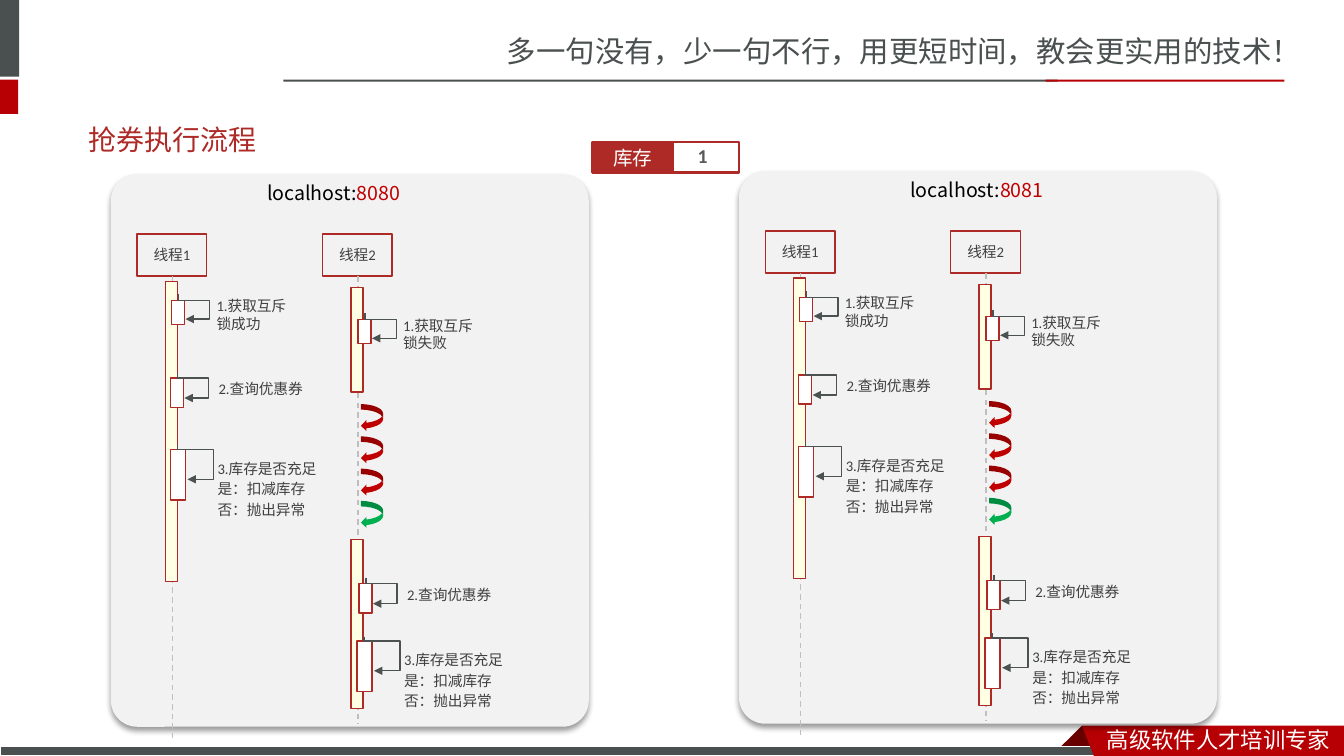
import pptx
import pptx.util
import pptx.dml.color
import pptx.enum.dml
import pptx.enum.shapes
import pptx.enum.text
import pptx.oxml
import pptx.oxml.ns
import lxml.etree

Inches = pptx.util.Inches
Pt = pptx.util.Pt
RGB = pptx.dml.color.RGBColor
KIND = pptx.enum.shapes.MSO_SHAPE
LINK = pptx.enum.shapes.MSO_CONNECTOR
ALIGN = pptx.enum.text.PP_ALIGN
MIDDLE = pptx.enum.text.MSO_ANCHOR.MIDDLE
qn = pptx.oxml.ns.qn

SLATE, RED, DARK = RGB(0x49, 0x50, 0x4F), RGB(0xB6, 0x00, 0x04), RGB(0x68, 0x00, 0x00)
BRICK, CRIMSON, GREEN = RGB(0xAD, 0x2A, 0x26), RGB(0xC0, 0x00, 0x00), RGB(0x00, 0xB0, 0x50)
WHITE, BLACK, CREAM = RGB(0xFF, 0xFF, 0xFF), RGB(0, 0, 0), RGB(0xFF, 0xFF, 0xE4)
PALE, SILVER = RGB(0xF2, 0xF2, 0xF2), RGB(0xBF, 0xBF, 0xBF)
INK, GREY, STEEL = RGB(0x40, 0x40, 0x40), RGB(0x59, 0x59, 0x59), RGB(0x4C, 0x52, 0x52)
NOTO = "Noto Sans CJK SC"

LOCK = dict(size=(0.13, 0.24), link=(0.25, 0.07), bend=(0.257, 4.425),
            note=(0.35, -0.08, 0.98, 0.45), align=ALIGN.LEFT)
QUERY = dict(size=(0.13, 0.29), link=(0.25, 0.07), bend=(0.206, 4.425),
             note=(0.35, -0.03, 1.09, 0.28), align=ALIGN.CENTER)
STOCK = dict(size=(0.15, 0.5), link=(0.34, 0.1), bend=(0.133, 3.569),
             note=(0.37, 0.05, 1.21, 0.91), align=ALIGN.LEFT)
FIND = "2.查询优惠券"
CHECK = "3.库存是否充足\n是：扣减库存\n否：抛出异常"


def style(run, size, color, font, bold=False):
    """Set the look of one run."""
    run.font.size = Pt(size)
    run.font.bold = bold
    run.font.color.rgb = color
    run.font.name = font
    lxml.etree.SubElement(run.font._element, qn("a:ea")).set("typeface", NOTO)


def write(shape, text, size, color, font="Calibri", align=ALIGN.LEFT, bold=False):
    """Fill a shape with styled text."""
    frame = shape.text_frame
    frame.word_wrap = True
    frame.text = text
    for i, para in enumerate(frame.paragraphs):
        para.alignment = align
        if i:
            para.space_before = Pt(2.1)
        for run in para.runs:
            style(run, size, color, font, bold)


def label(slide, box, text, size, color, **look):
    """Place a text box."""
    shape = slide.shapes.add_textbox(*map(Inches, box))
    write(shape, text, size, color, **look)
    return shape


def block(slide, box, fill=None, line=None, width=1, kind=KIND.RECTANGLE):
    """Place a flat preset shape."""
    shape = slide.shapes.add_shape(kind, *map(Inches, box))
    shape.shadow.inherit = False
    paint(shape, fill, line, width)
    return shape


def paint(shape, fill, line=None, width=1):
    """Set fill and outline."""
    if fill is None:
        shape.fill.background()
    else:
        shape.fill.solid()
        shape.fill.fore_color.rgb = fill
    if line is None:
        shape.line.fill.background()
    else:
        shape.line.color.rgb = line
        shape.line.width = Pt(width)


def wire(slide, kind, ends, color):
    """Place a plain connector."""
    line = slide.shapes.add_connector(kind, *map(Inches, ends))
    line.line.color.rgb = color
    line.line.width = Pt(1)
    lxml.etree.SubElement(line._element.spPr, qn("a:effectLst"))
    return line


def loop(slide, x, y, span, depth, bend):
    """Draw a self-call arrow that starts at x, y and ends below it."""
    left, top = x + (depth - span) / 2, y + (span - depth) / 2
    arrow = wire(slide, LINK.ELBOW, (left, top, left + span, top + depth), STEEL)
    props = arrow._element.spPr
    frame = props.find(qn("a:xfrm"))
    frame.set("rot", "16200000")
    frame.set("flipH", "1")
    geom = props.find(qn("a:prstGeom"))
    geom.set("prst", "bentConnector4")
    guides = geom.find(qn("a:avLst"))
    for i, part in enumerate(bend, 1):
        guide = lxml.etree.SubElement(guides, qn("a:gd"))
        guide.set("name", f"adj{i}")
        guide.set("fmla", f"val {round(part * 100000)}")
    tail = lxml.etree.SubElement(props.find(qn("a:ln")), qn("a:tailEnd"))
    tail.set("type", "triangle")


def call(slide, x, y, text, size, link, bend, note, align):
    """Draw one step: its box, self-call arrow and note."""
    block(slide, (x, y, *size), WHITE, BRICK)
    loop(slide, x + 0.07, y - link[0] * bend[0], *link, bend)
    label(slide, (x + note[0], y + note[1], *note[2:]), text, 10.5, INK, align=align)


def lane(slide, x, y, name, end, bars, calls):
    """Draw a thread with its lifeline, active bars and steps."""
    head = block(slide, (x, y, 0.69, 0.42), None, BRICK)
    head.text_frame.vertical_anchor = MIDDLE
    write(head, name, 10.5, INK, align=ALIGN.CENTER)
    life = wire(slide, LINK.STRAIGHT, (x + 0.35, y + 0.42, x + 0.35, y + end), SILVER)
    life.line.dash_style = pptx.enum.dml.MSO_LINE.DASH
    for top, high in bars:
        block(slide, (x + 0.28, y + top, 0.12, high), CREAM, BRICK)
    for shift, top, text, kind in calls:
        call(slide, x + shift, y + top, text, **kind)


def host(slide, x, y, port, shift):
    """Draw one server panel with two threads."""
    panel = block(slide, (x, y, 4.74, 5.48), PALE, kind=KIND.ROUNDED_RECTANGLE)
    panel.adjustments[0] = 0.055
    shade = pptx.oxml.parse_xml(
        f'<a:outerShdw {pptx.oxml.ns.nsdecls("a")} blurRad="50800" dist="38100" dir="5400000">'
        '<a:srgbClr val="000000"><a:alpha val="40000"/></a:srgbClr></a:outerShdw>')
    panel._element.spPr.find(qn("a:effectLst")).append(shade)
    lane(slide, x + 0.26, y + 0.59, "线程1", 5, [(0.47, 2.98)],
         [(0.34, 0.66, "1.获取互斥锁成功", LOCK), (0.33, 1.43, FIND, QUERY),
          (0.33, 2.14, CHECK, STOCK)])
    lane(slide, x + 2.1, y + 0.59, "线程2", 4.86, [(0.53, 1.04), (3.03, 1.68)],
         [(0.35, 0.85, "1.获取互斥锁失败", LOCK), (0.36, 3.47, FIND, QUERY),
          (0.34, 4.04, CHECK, STOCK)])
    for i, color in enumerate([CRIMSON] * 3 + [GREEN]):
        block(slide, (x + 2.48, y + 2.28 + 0.32 * i, 0.22, 0.27), color,
              kind=KIND.CURVED_LEFT_ARROW)
    name = label(slide, (x + shift, y + 0.02, 1.72, 0.34), "localhost:", 14, BLACK, font=NOTO)
    run = name.text_frame.paragraphs[0].add_run()
    run.text = port
    style(run, 14, CRIMSON, NOTO)


def store(slide, x, y):
    """Draw the stock counter."""
    block(slide, (x + 0.66, y, 0.79, 0.3), WHITE, BRICK, 2)
    tag = block(slide, (x, y, 0.79, 0.3), BRICK, BRICK, 2)
    tag.text_frame.vertical_anchor = MIDDLE
    write(tag, "库存", 14, WHITE, align=ALIGN.CENTER)
    label(slide, (x + 0.94, y - 0.03, 0.45, 0.34), "1", 14, GREY, bold=True)


def header(slide):
    """Draw the top band and slogan."""
    label(slide, (4.93, 0.28, 8.4, 0.47), "多一句没有，少一句不行，用更短时间，教会更实用的技术！",
          21, SLATE, font=NOTO)
    block(slide, (0, 0, 0.19, 0.76), SLATE)
    block(slide, (0, 0.79, 0.18, 0.34), RED)
    block(slide, (2.81, 0.79, 7.68, 0.02), SLATE)
    block(slide, (10.37, 0.79, 2.37, 0.02), RED)


def ribbon(slide, points, fill):
    """Draw a closed outline."""
    first, *rest = [(Inches(x), Inches(y)) for x, y in points]
    pen = slide.shapes.build_freeform(*first)
    pen.add_line_segments(rest)
    shape = pen.convert_to_shape()
    shape.shadow.inherit = False
    paint(shape, fill)


def footer(slide):
    """Draw the bottom band and motto."""
    ribbon(slide, [(10.73, 7.2), (10.95, 7.42), (10.94, 7.43), (10.52, 7.43), (10.51, 7.42)], DARK)
    block(slide, (0, 7.41, 10.99, 0.09), SLATE, WHITE, 0.75)
    ribbon(slide, [(10.73, 7.2), (13.33, 7.2), (13.33, 7.5), (10.85, 7.5)], RED)
    label(slide, (10.88, 7.15, 2.45, 0.35), "高级软件人才培训专家", 16, WHITE, font=NOTO)


def main():
    """Build and save the slide."""
    deck = pptx.Presentation()
    deck.slide_width, deck.slide_height = Inches(13.33), Inches(7.5)
    slide = deck.slides.add_slide(deck.slide_layouts[6])
    header(slide)
    footer(slide)
    title = label(slide, (0.78, 1.1, 11.7, 0.57), "抢券执行流程", 20, BRICK, font="Lato")
    title.text_frame.vertical_anchor = MIDDLE
    host(slide, 1.1, 1.73, "8080", 1.45)
    host(slide, 7.33, 1.7, "8081", 1.6)
    store(slide, 5.88, 1.41)
    deck.save("out.pptx")


if __name__ == "__main__":
    main()
